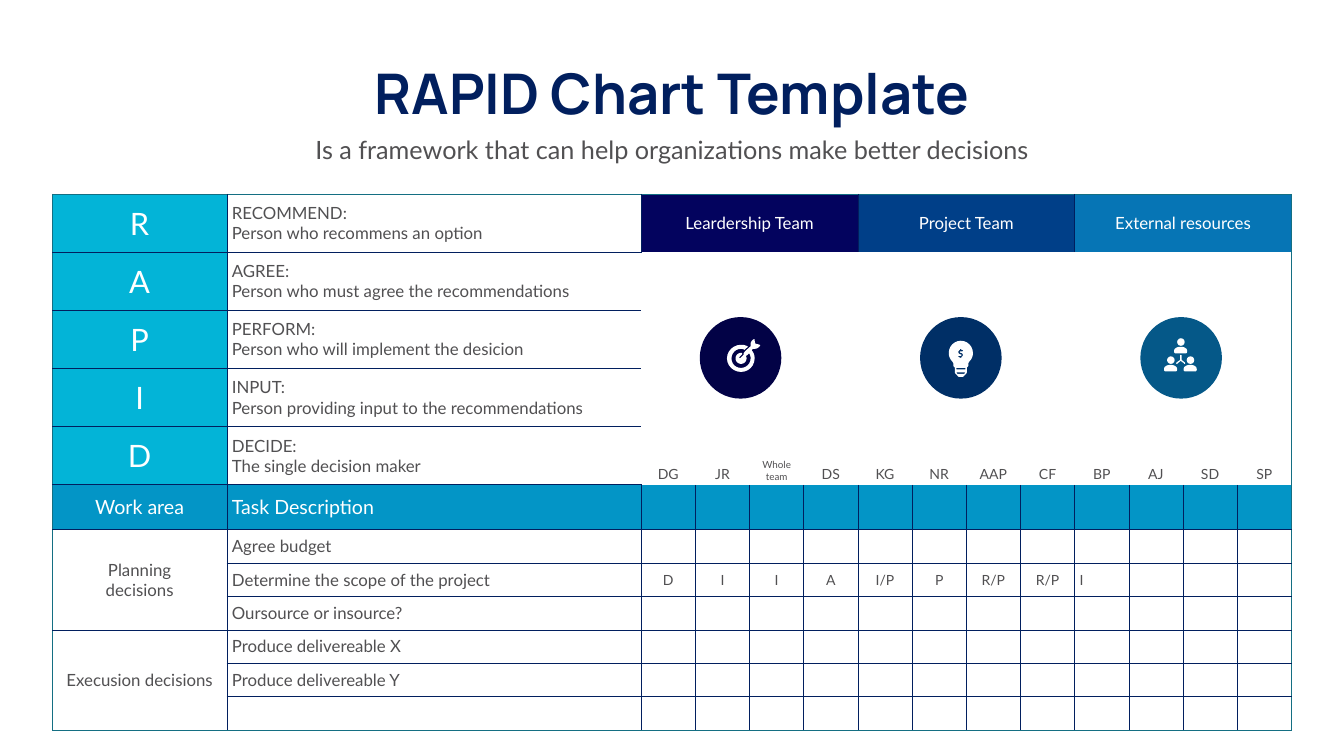
from lxml import etree
from pptx import Presentation
from pptx.dml.color import RGBColor
from pptx.enum.shapes import MSO_SHAPE
from pptx.enum.text import MSO_ANCHOR, MSO_AUTO_SIZE, PP_ALIGN
from pptx.oxml.ns import qn
from pptx.util import Cm, Pt

CENTER, LEFT = PP_ALIGN.CENTER, PP_ALIGN.LEFT
MIDDLE, BOTTOM = MSO_ANCHOR.MIDDLE, MSO_ANCHOR.BOTTOM
GROW = MSO_AUTO_SIZE.SHAPE_TO_FIT_TEXT
OVAL = MSO_SHAPE.OVAL

COLORS = {
    "navy": "011F5E", "grey": "515052", "white": "FFFFFF", "teal": "146F83",
    "letter": "03B4D7", "header": "0395C6",
    "leadership": "03035E", "project": "003F88", "external": "0675B5",
    "leadership_badge": "020246", "project_badge": "002F66", "external_badge": "055888",
}
ROLES = [
    ("R", "RECOMMEND:\nPerson who recommens an option"),
    ("A", "AGREE:\nPerson who must agree the recommendations"),
    ("P", "PERFORM:\nPerson who will implement the desicion"),
    ("I", "INPUT:\nPerson providing input to the recommendations"),
    ("D", "DECIDE:\nThe single decision maker"),
]
TEAMS = [("Leardership Team", "leadership"), ("Project Team", "project"),
         ("External resources", "external")]
PEOPLE = ["DG", "JR", "Whole team", "DS", "KG", "NR", "AAP", "CF", "BP", "AJ", "SD", "SP"]
AREAS = [
    ("Planning\ndecisions", ["Agree budget", "Determine the scope of the project",
                             "Oursource or insource?"]),
    ("Execusion decisions", ["Produce delivereable X", "Produce delivereable Y", ""]),
]
SCOPE_ROW = 7
SCOPE_CODES = ["D", "I", "I", "A", "I/P", "P", "R/P", "R/P", "I"]
COLUMNS = [8.79, 20.88] + [2.73] * 12
ROWS = [2.93] * 5 + [2.27] + [1.68] * 6
LAST_ROW, LAST_COL = len(ROWS) - 1, len(COLUMNS) - 1
BADGE_SIZE, BADGE_GRID = 4.11, 162
FINE = 100

TARGET = """M 120 56 C 120 55 119 55 119 55 C 116 54 112 53 111 53 C 110 52 109 48 109 45
C 109 45 109 44 108 44 L 107 44 C 107 44 101 48 101 53 L 101 58 C 94 64 87 70 87 73
L 87 75 L 81 81 C 80 82 79 82 79 81 C 78 81 78 80 79 79 L 84 74 L 84 72
C 84 71 83 71 82 71 C 76 71 71 76 71 82 C 71 88 76 93 82 93 C 88 93 93 88 93 82
C 93 80 92 78 91 77 C 93 77 95 75 98 72 C 100 75 101 78 101 82 C 101 93 92 101 82 101
C 71 101 63 93 63 82 C 63 72 71 63 82 63 C 84 63 87 64 89 65 C 91 63 93 61 96 59
C 92 56 87 55 82 55 C 67 55 54 67 54 82 C 54 97 67 109 82 109 C 97 109 109 97 109 82
C 109 76 107 70 103 66 C 104 65 105 64 105 63 L 110 63 C 116 63 119 57 120 57"""
BULB = """M 81 47 C 68 47 57 58 57 71 C 57 80 61 85 64 88 C 65 90 66 91 66 92 L 66 95
C 66 97 67 99 69 100 L 69 109 C 69 111 70 112 71 113 L 74 116 C 75 118 77 119 79 119
L 83 119 C 85 119 87 118 88 116 L 91 113 C 92 112 93 111 93 109 L 93 100
C 95 99 96 97 96 95 L 96 92 C 96 91 97 90 98 88 C 101 85 105 80 105 71
C 105 58 94 47 81 47
M 81 74 C 78 74 76 72 76 69 C 76 67 78 66 79 65 C 79 64 80 63 81 63 C 82 63 82 64 82 65
L 84 65 C 85 65 85 66 85 66 C 85 67 85 68 84 68 L 81 68 C 80 68 79 69 79 69
C 79 70 80 71 81 71 C 83 71 85 73 85 75 C 85 77 84 79 82 79 L 82 80
C 82 81 82 81 81 81 C 80 81 79 81 79 80 L 78 80 C 77 80 76 79 76 78
C 76 77 77 77 78 77 L 81 77 C 82 77 82 76 82 75 C 82 74 82 74 81 74
M 89 111 L 88 113 L 74 113 L 73 111 C 72 111 72 110 72 110 L 90 110
M 90 104 L 72 104 L 72 101 L 90 101"""
BODY = """M 3 30 L 23 30 C 25 30 26 28 26 27 L 26 26 C 26 23 25 21 23 20
C 21 18 17 17 13 17 C 9 17 5 18 3 20 C 1 21 0 23 0 26 L 0 27 C 0 28 1 30 3 30"""
BRANCHES = """M 87 93 C 88 93 88 93 89 92 C 89 92 89 91 88 90 L 82 85 L 82 76
C 82 76 81 75 80 75 C 79 75 79 76 79 76 L 79 85 L 72 90 C 71 91 71 92 71 92
C 72 93 73 93 74 92 L 80 87 L 87 92"""
PERSON_SPOTS = [(67, 42), (47, 78), (86, 78)]


def color(name):
    return RGBColor.from_string(COLORS[name])


def write(frame, text, size, ink, align, font="Lato", bold=False):
    frame.text = text
    for para in frame.paragraphs:
        para.alignment = align
        for span in para.runs:
            span.font.name, span.font.size, span.font.bold = font, Pt(size), bold
            span.font.color.rgb = color(ink)


def paint(shape, fill):
    shape.shadow.inherit = False
    shape.fill.solid()
    shape.fill.fore_color.rgb = color(fill)
    shape.line.fill.background()


def add_heading(page, left, top, width, height, text, wrap, **style):
    box = page.shapes.add_textbox(Cm(left), Cm(top), Cm(width), Cm(height))
    box.text_frame.word_wrap = wrap
    box.text_frame.auto_size = GROW
    write(box.text_frame, text, align=CENTER, **style)


def trace(outline):
    contours = []
    for command in outline.replace("M", "|M").replace("L", "|L").replace("C", "|C").split("|")[1:]:
        numbers = [float(value) * FINE for value in command[1:].split()]
        points = list(zip(numbers[::2], numbers[1::2]))
        if command[0] == "M":
            contours.append(points)
        elif command[0] == "L":
            contours[-1] += points
        else:
            curve = [contours[-1][-1]] + points
            for step in range(1, 7):
                t = step / 6
                weights = [(1 - t) ** 3, 3 * t * (1 - t) ** 2, 3 * t * t * (1 - t), t ** 3]
                contours[-1].append(tuple(
                    sum(weight * point[axis] for weight, point in zip(weights, curve))
                    for axis in (0, 1)))
    return contours


def add_outline(group, left, top, outline):
    contours = trace(outline)
    builder = group.shapes.build_freeform(*contours[0][0], scale=Cm(BADGE_SIZE) / BADGE_GRID / FINE)
    for index, points in enumerate(contours):
        if index:
            builder.move_to(*points[0])
        builder.add_line_segments(points[1:], close=True)
    paint(builder.convert_to_shape(Cm(left), Cm(top)), "white")


def add_oval(group, left, top, size, fill):
    paint(group.shapes.add_shape(OVAL, Cm(left), Cm(top), Cm(size), Cm(size)), fill)


def add_badge(page, left, top, fill, outline):
    group = page.shapes.add_group_shape()
    add_oval(group, left, top, BADGE_SIZE, fill)
    add_outline(group, left, top, outline)
    return group


def add_team_badge(page, left, top, fill):
    group = add_badge(page, left, top, fill, BRANCHES)
    unit = BADGE_SIZE / BADGE_GRID
    for x, y in PERSON_SPOTS:
        person_left, person_top = left + x * unit, top + y * unit
        add_oval(group, person_left + 6 * unit, person_top, 15 * unit, "white")
        add_outline(group, person_left, person_top, BODY)


def fill_cell(cell, text, size, ink="grey", align=CENTER, fill=None, anchor=MIDDLE):
    write(cell.text_frame, text, size, ink, align)
    cell.vertical_anchor = anchor
    if fill:
        cell.fill.solid()
        cell.fill.fore_color.rgb = color(fill)


def border_colors(row, col, end_row, end_col):
    in_people = 1 <= row <= 4 and col >= 2
    beside_people = 1 <= row <= 4 and col == 1
    left = "teal" if col == 0 else None if in_people else "navy"
    right = "teal" if end_col == LAST_COL else None if in_people or beside_people else "navy"
    top = "teal" if row == 0 else None if in_people or (row == 5 and col >= 2) else "navy"
    bottom = "teal" if end_row == LAST_ROW else None if row <= 4 and col >= 2 else "navy"
    return {"lnL": left, "lnR": right, "lnT": top, "lnB": bottom}


def draw_borders(cell, edges):
    properties = cell._tc.get_or_add_tcPr()
    for index, (tag, name) in enumerate(edges.items()):
        line = etree.Element(qn(f"a:{tag}"), w=str(Pt(1)))
        if name:
            solid = etree.SubElement(line, qn("a:solidFill"))
            etree.SubElement(solid, qn("a:srgbClr"), val=COLORS[name])
        else:
            etree.SubElement(line, qn("a:noFill"))
        properties.insert(index, line)


def add_rapid_table(page, left, top):
    table = page.shapes.add_table(len(ROWS), len(COLUMNS), Cm(left), Cm(top),
                                  Cm(sum(COLUMNS)), Cm(sum(ROWS))).table
    table.first_row = table.horz_banding = False
    for column, width in zip(table.columns, COLUMNS):
        column.width = Cm(width)
    for line, height in zip(table.rows, ROWS):
        line.height = Cm(height)
    for row, (letter, meaning) in enumerate(ROLES):
        fill_cell(table.cell(row, 0), letter, 44, "white", fill="letter")
        fill_cell(table.cell(row, 1), meaning, 24, align=LEFT)
    for index, (team, fill) in enumerate(TEAMS):
        col = 2 + 4 * index
        table.cell(0, col).merge(table.cell(0, col + 3))
        fill_cell(table.cell(0, col), team, 24, "white", fill=fill)
    for col, person in enumerate(PEOPLE, 2):
        table.cell(1, col).merge(table.cell(4, col))
        fill_cell(table.cell(1, col), person, 14 if " " in person else 20, anchor=BOTTOM)
        fill_cell(table.cell(5, col), "", 28, fill="header")
    fill_cell(table.cell(5, 0), "Work area", 28, "white", fill="header")
    fill_cell(table.cell(5, 1), "Task Description", 28, "white", LEFT, "header")
    for index, (area, tasks) in enumerate(AREAS):
        first = 6 + 3 * index
        table.cell(first, 0).merge(table.cell(first + 2, 0))
        fill_cell(table.cell(first, 0), area, 24)
        for row, task in enumerate(tasks, first):
            fill_cell(table.cell(row, 1), task, 24, align=LEFT)
    for col, code in enumerate(SCOPE_CODES, 2):
        fill_cell(table.cell(SCOPE_ROW, col), code, 20, align=LEFT if col == 10 else CENTER)
    for row in range(len(ROWS)):
        for col in range(len(COLUMNS)):
            cell = table.cell(row, col)
            if cell.is_spanned:
                continue
            if cell._tc.get_or_add_tcPr().find(qn("a:solidFill")) is None:
                cell.fill.background()
            draw_borders(cell, border_colors(row, col, row + cell.span_height - 1,
                                             col + cell.span_width - 1))


def main():
    deck = Presentation()
    deck.slide_width, deck.slide_height = Cm(67.72), Cm(38.1)
    page = deck.slides.add_slide(deck.slide_layouts[6])
    add_heading(page, 17.5, 2.84, 32.72, 3.68, "RAPID Chart Template", False,
                size=80, ink="navy", font="Manrope", bold=True)
    add_heading(page, 7.42, 6.63, 52.88, 1.8,
                "Is a framework that can help organizations make better decisions", True,
                size=36, ink="grey")
    left, top = 2.64, 9.78
    add_rapid_table(page, left, top)
    badge_left, badge_top, badge_step = left + 32.62, top + 6.2, 11.1
    add_badge(page, badge_left, badge_top, "leadership_badge", TARGET)
    add_badge(page, badge_left + badge_step, badge_top, "project_badge", BULB)
    add_team_badge(page, badge_left + 2 * badge_step, badge_top, "external_badge")
    deck.save("out.pptx")


if __name__ == "__main__":
    main()
